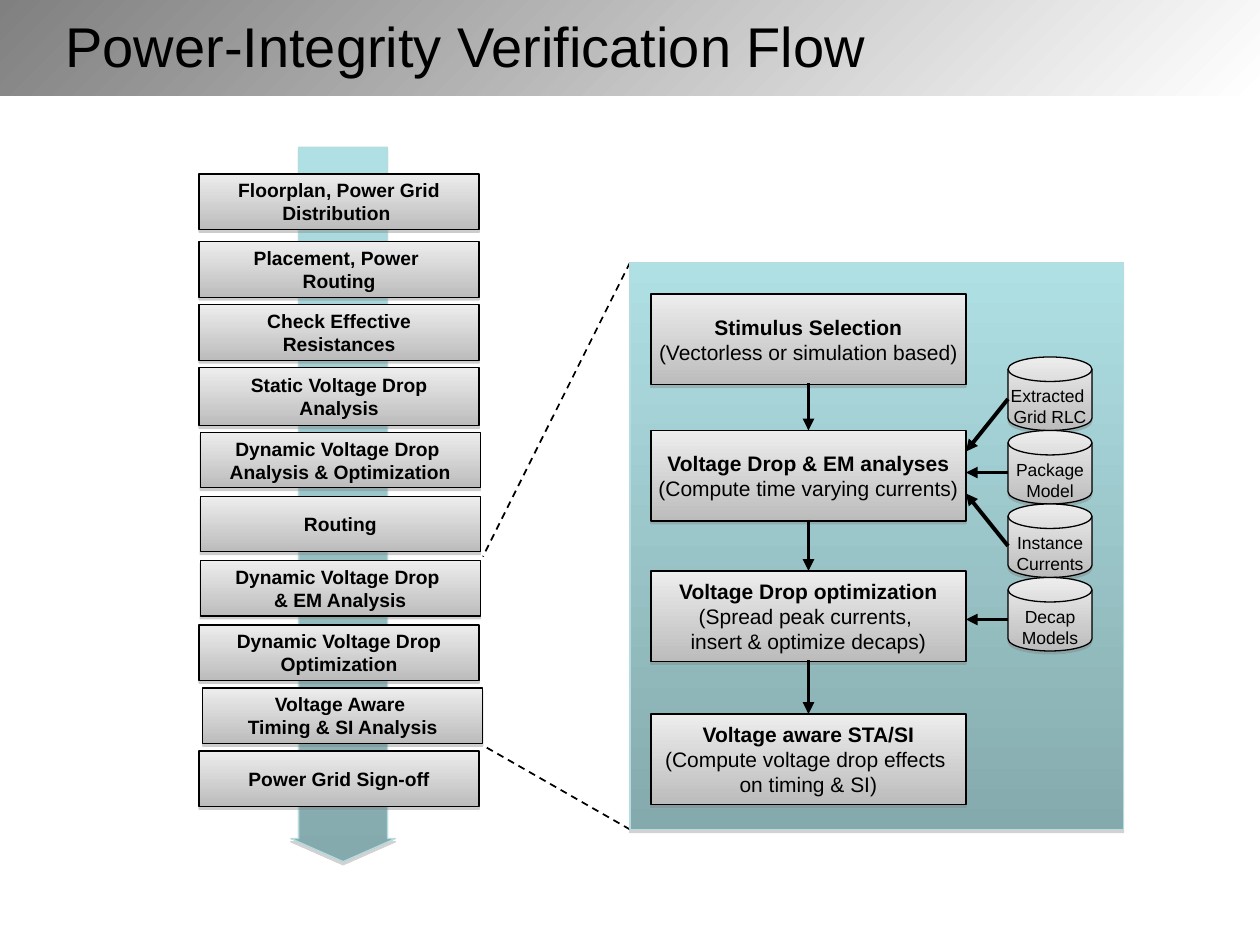
import dataclasses

import pptx
import pptx.dml.color
import pptx.enum.dml
import pptx.enum.shapes
import pptx.enum.text
import pptx.oxml
import pptx.oxml.ns
import pptx.util

Pt = pptx.util.Pt
SHAPE = pptx.enum.shapes.MSO_SHAPE


@dataclasses.dataclass(frozen=True)
class Theme:
    font: str = "Arial"
    ink: str = "000000"
    shadow: str = "808080"
    header: tuple = ("808080", "FFFFFF")
    teal: tuple = ("AFE0E4", "85AAAD")
    teal_edge: str = "B6DCDF"
    silver: tuple = ("EDEDED", "BCBCBC")
    title_size: int = 32
    step_size: int = 11
    stage_size: int = 12
    store_size: int = 10


THEME = Theme()

STEPS = [
    (113.8, 99.4, "Floorplan, Power Grid Distribution "),
    (113.8, 138.2, "Placement, Power \nRouting"),
    (113.8, 174.2, "Check Effective Resistances"),
    (113.8, 210.2, "Static Voltage Drop\nAnalysis"),
    (114.5, 247, "Dynamic Voltage Drop \nAnalysis & Optimization"),
    (114.5, 283.7, "Routing"),
    (114.5, 320.4, "Dynamic Voltage Drop \n& EM Analysis"),
    (113.8, 357.1, "Dynamic Voltage Drop\nOptimization"),
    (115.9, 393.1, "Voltage Aware \nTiming & SI Analysis"),
    (113.8, 429.1, "Power Grid Sign-off"),
]
STAGES = [
    (168, "Stimulus Selection\n(Vectorless or simulation based)"),
    (246, "Voltage Drop & EM analyses\n(Compute time varying currents)"),
    (326.2, "Voltage Drop optimization\n(Spread peak currents, \ninsert & optimize decaps)"),
    (408, "Voltage aware STA/SI\n(Compute voltage drop effects \non timing & SI)"),
]
STORES = [
    "Extracted \nGrid RLC",
    "Package\nModel",
    "Instance\nCurrents",
    "Decap\nModels",
]
STORE_ARROWS = [(228, 258), (270, 270), (312, 282), (354, 354)]


def rgb(value):
    return pptx.dml.color.RGBColor.from_string(value)


def xml(text):
    return pptx.oxml.parse_xml(text.replace(">", f" {pptx.oxml.ns.nsdecls('a')}>", 1))


def add_gradient_shape(page, kind, bounds, colors, angle=270, edge=None):
    shape = page.shapes.add_shape(kind, *map(Pt, bounds))
    shape.shadow.inherit = False
    shape.fill.gradient()
    shape.fill.gradient_angle = angle
    for stop, color in zip(shape.fill.gradient_stops, colors):
        stop.color.rgb = rgb(color)
    if edge:
        shape.line.color.rgb = rgb(edge)
        shape.line.width = Pt(0.75)
    else:
        shape.line.fill.background()
    return shape


def cast_shadow(shape, distance, opacity):
    effects = shape.element.spPr.find(pptx.oxml.ns.qn("a:effectLst"))
    effects.append(xml(
        f'<a:outerShdw blurRad="0" dist="{Pt(distance)}" dir="5400000" rotWithShape="0">'
        f'<a:srgbClr val="{THEME.shadow}"><a:alpha val="{opacity * 1000}"/></a:srgbClr>'
        "</a:outerShdw>"
    ))


def format_text(frame, size, bold_lines=0):
    for index, para in enumerate(frame.paragraphs):
        for span in para.runs:
            span.font.name = THEME.font
            span.font.size = Pt(size)
            span.font.bold = index < bold_lines
            span.font.color.rgb = rgb(THEME.ink)


def add_teal(page, kind, bounds):
    shape = add_gradient_shape(page, kind, bounds, THEME.teal, edge=THEME.teal_edge)
    cast_shadow(shape, 1.8, 35)
    return shape


def add_box(page, kind, bounds, text, size, bold_lines=0, wrap=False, top_inset=3.6):
    box = add_gradient_shape(page, kind, bounds, THEME.silver, edge=THEME.ink)
    cast_shadow(box, 1.6, 38)
    frame = box.text_frame
    frame.text = text
    frame.word_wrap = wrap
    frame.vertical_anchor = pptx.enum.text.MSO_ANCHOR.MIDDLE
    frame.margin_left = frame.margin_right = Pt(7.2)
    frame.margin_top, frame.margin_bottom = Pt(top_inset), Pt(3.6)
    for para in frame.paragraphs:
        para.alignment = pptx.enum.text.PP_ALIGN.CENTER
    format_text(frame, size, bold_lines)


def add_line(page, start, end, width):
    line = page.shapes.add_connector(
        pptx.enum.shapes.MSO_CONNECTOR.STRAIGHT, *map(Pt, (*start, *end))
    )
    line.line.color.rgb = rgb(THEME.ink)
    line.line.width = Pt(width)
    line.element.spPr.append(xml("<a:effectLst></a:effectLst>"))
    return line


def add_arrow(page, start, end):
    arrow = add_line(page, start, end, 2.25)
    arrow.line._get_or_add_ln().append(xml('<a:tailEnd type="triangle"></a:tailEnd>'))


def add_callout(page, start, end):
    callout = add_line(page, start, end, 1)
    callout.line.dash_style = pptx.enum.dml.MSO_LINE.DASH


def add_header(page):
    band = add_gradient_shape(page, SHAPE.RECTANGLE, (0, -0.7, 720, 55.4), THEME.header, 315)
    title = page.shapes.title
    title.element.addprevious(band.element)
    title.left, title.top, title.width, title.height = map(Pt, (30.2, 6.5, 648, 38.2))
    frame = title.text_frame
    frame.text = "Power-Integrity Verification Flow"
    frame.auto_size = pptx.enum.text.MSO_AUTO_SIZE.NONE
    frame.vertical_anchor = pptx.enum.text.MSO_ANCHOR.MIDDLE
    frame.paragraphs[0].alignment = pptx.enum.text.PP_ALIGN.LEFT
    format_text(frame, THEME.title_size)


def add_flow(page):
    arrow = add_teal(page, SHAPE.DOWN_ARROW, (166.2, 84.2, 59.8, 408.2))
    arrow.adjustments[0], arrow.adjustments[1] = 0.85, 0.22
    for left, top, text in STEPS:
        height = 33.1 if text.startswith("Static") else 31.7
        add_box(page, SHAPE.RECTANGLE, (left, top, 160, height), text,
                THEME.step_size, bold_lines=2, wrap=True)


def add_detail(page):
    add_callout(page, (360, 150), (276, 318))
    add_callout(page, (360, 474), (276, 426))
    add_teal(page, SHAPE.RECTANGLE, (360, 150, 282, 324))
    for top, text in STAGES:
        add_box(page, SHAPE.RECTANGLE, (372, top, 180, 51.8), text,
                THEME.stage_size, bold_lines=1)
    for (top, _), (next_top, _) in zip(STAGES, STAGES[1:]):
        add_arrow(page, (462, top + 51), (462, next_top))
    for index, text in enumerate(STORES):
        add_box(page, SHAPE.FLOWCHART_MAGNETIC_DISK, (576, 204 + 42 * index, 48, 42),
                text, THEME.store_size, top_inset=10.8)
    for start, end in STORE_ARROWS:
        add_arrow(page, (576, start), (552, end))


def main():
    deck = pptx.Presentation()
    deck.slide_width, deck.slide_height = Pt(720), Pt(540)
    page = deck.slides.add_slide(deck.slide_layouts[5])
    add_header(page)
    add_flow(page)
    add_detail(page)
    deck.save("out.pptx")


if __name__ == "__main__":
    main()
